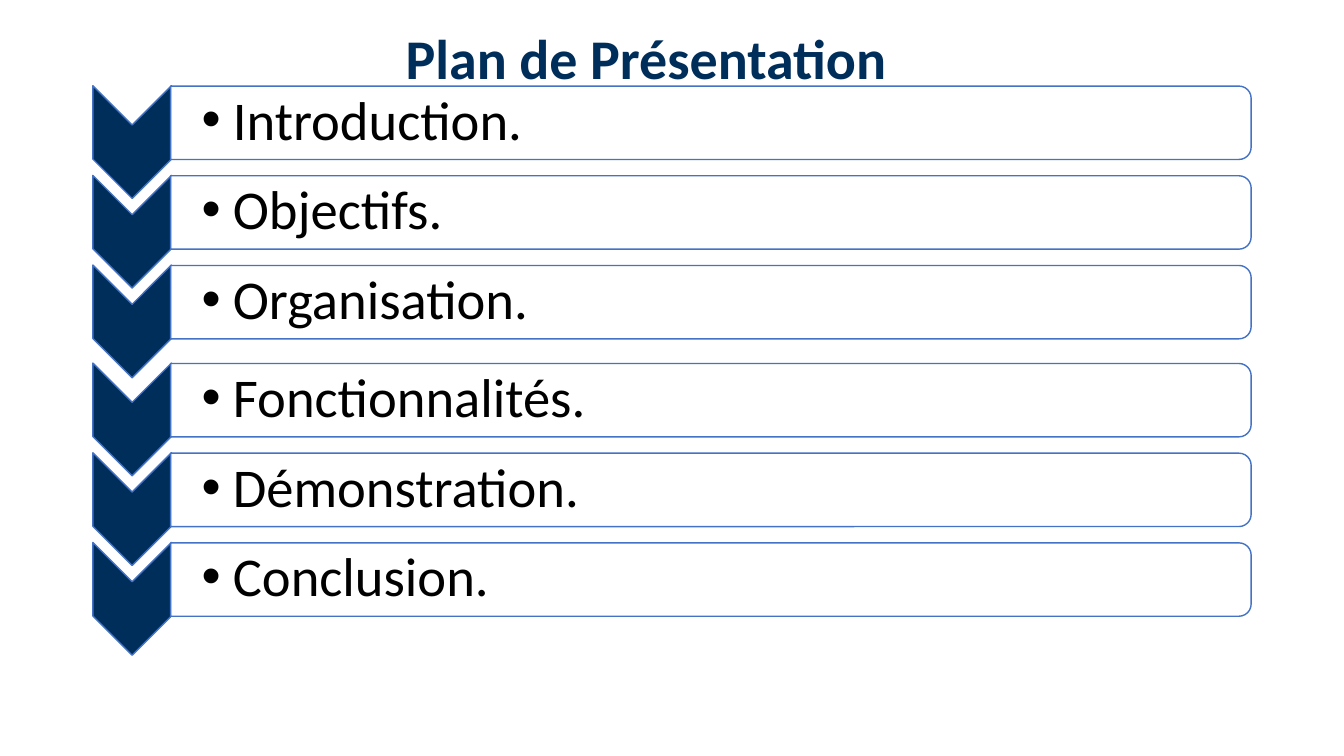
from lxml.etree import SubElement
from pptx import Presentation
from pptx.dml.color import RGBColor
from pptx.enum.shapes import MSO_SHAPE as Shape
from pptx.enum.text import MSO_ANCHOR as Anchor, PP_ALIGN as Align
from pptx.oxml.ns import qn
from pptx.util import Cm, Pt

COLORS = {"navy": "002E5B", "blue": "4472C4", "white": "FFFFFF", "black": "000000"}
GROUPS = [
    (2.26, ["Introduction.", "Objectifs.", "Organisation."]),
    (9.25, ["Fonctionnalités.", "Démonstration.", "Conclusion."]),
]
PITCH = 2.26


def add_rotated(s, kind, left, top, width, height, fill):
    sp = s.shapes.add_shape(kind, Cm(left), Cm(top), Cm(width), Cm(height))
    sp.rotation = 90
    sp.shadow.inherit = False
    sp.fill.solid()
    sp.fill.fore_color.rgb = RGBColor.from_string(COLORS[fill])
    sp.line.color.rgb = RGBColor.from_string(COLORS["blue"])
    sp.line.width = Pt(1)
    return sp


def format_run(p, size, color, bold):
    font = p.runs[0].font
    font.name = "Calibri"
    font.size = Pt(size)
    font.bold = bold
    font.color.rgb = RGBColor.from_string(COLORS[color])


prs = Presentation()
prs.slide_width = Cm(33.87)
prs.slide_height = Cm(19.05)
s = prs.slides.add_slide(prs.slide_layouts[5])

title = s.shapes.title
title.left, title.top, title.width, title.height = Cm(7.16), Cm(0.46), Cm(18.24), Cm(1.96)
tf = title.text_frame
tf.text = "Plan de Présentation"
tf.vertical_anchor = Anchor.MIDDLE
tf.paragraphs[0].alignment = Align.CENTER
format_run(tf.paragraphs[0], 40, "navy", True)

for start, items in GROUPS:
    for i, item in enumerate(items):
        top = start + i * PITCH
        add_rotated(s, Shape.CHEVRON, 1.91, top + 0.33, 2.84, 1.98, "navy")
        bar = add_rotated(s, Shape.ROUND_2_SAME_RECTANGLE, 16.99, top - 12.78, 1.85, 27.23, "white")
        color = bar.fill._xPr.find(qn("a:solidFill"))[0]
        SubElement(color, qn("a:alpha")).set("val", "90000")

        box = s.shapes.add_textbox(Cm(4.32), Cm(top), Cm(27.13), Cm(1.65))
        tf = box.text_frame
        tf.word_wrap = True
        tf.vertical_anchor = Anchor.MIDDLE
        tf.margin_left = Cm(0.76)
        tf.margin_top = tf.margin_right = tf.margin_bottom = Cm(0.08)
        tf.text = item
        p = tf.paragraphs[0]
        p.line_spacing = 0.9
        format_run(p, 39, "black", False)
        pPr = p._p.get_or_add_pPr()
        pPr.set("marL", str(Cm(0.79)))
        pPr.set("indent", str(-Cm(0.79)))
        SubElement(pPr, qn("a:buFont")).set("typeface", "Arial")
        SubElement(pPr, qn("a:buChar")).set("char", "•")

prs.save("out.pptx")
